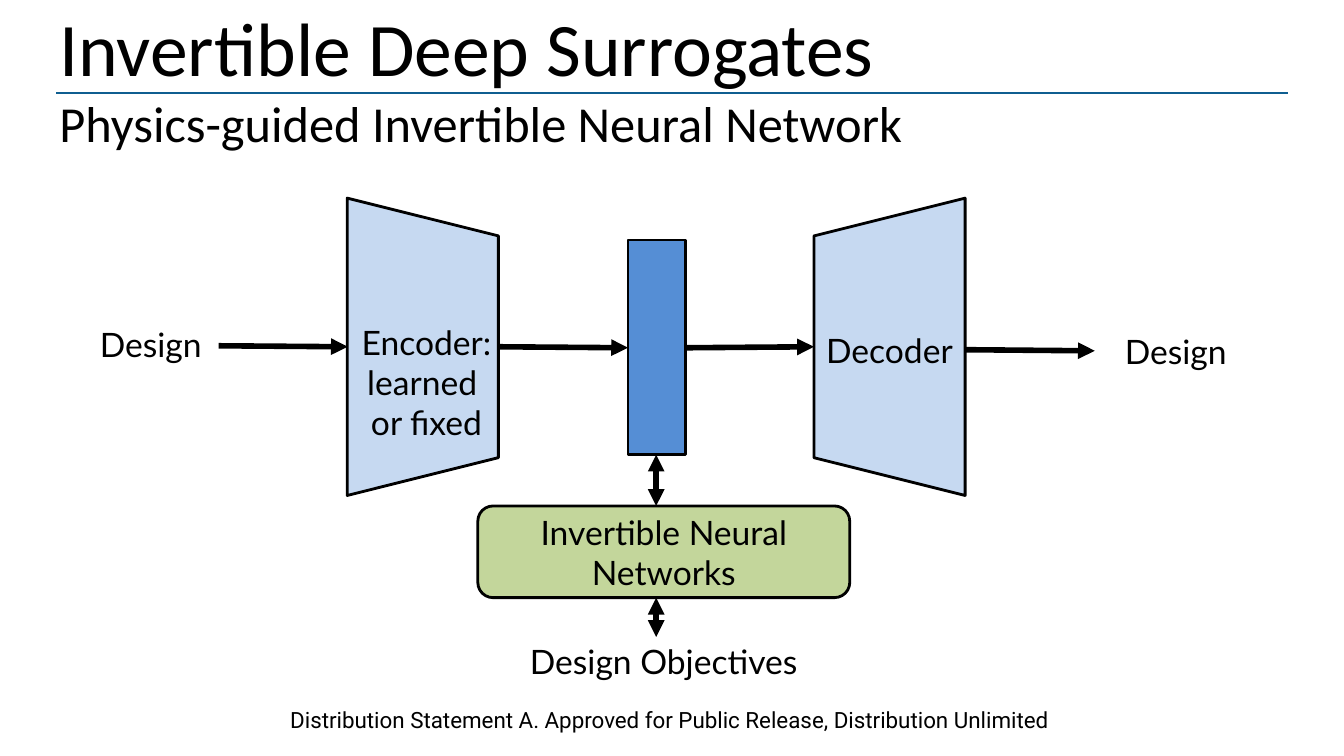
from dataclasses import dataclass, field

from lxml.etree import SubElement
from pptx import Presentation
from pptx.dml.color import RGBColor
from pptx.enum.shapes import MSO_CONNECTOR as Connector, MSO_SHAPE as Shape
from pptx.enum.text import MSO_ANCHOR as Anchor, MSO_AUTO_SIZE as AutoSize, PP_ALIGN as Align
from pptx.oxml.ns import qn
from pptx.slide import Slide
from pptx.util import Pt

COLORS = {
    "ink": "000000",
    "rule": "0F5E90",
    "coder": "C6D9F1",
    "latent": "558ED5",
    "network": "C3D69B",
}


def color(name):
    return RGBColor.from_string(COLORS[name])


def write(para, text, size=24, font="Lato", align=Align.CENTER):
    para.alignment = align
    span = para.add_run()
    span.text = text
    span.font.size = Pt(size)
    span.font.name = font
    span.font.color.rgb = color("ink")


def fill_frame(frame, lines, anchor=Anchor.TOP, **format):
    frame.word_wrap = True
    frame.auto_size = AutoSize.NONE
    frame.vertical_anchor = anchor
    for index, line in enumerate(lines):
        para = frame.paragraphs[0] if index == 0 else frame.add_paragraph()
        write(para, line, **format)


@dataclass
class Diagram:
    page: Slide
    outline: float = 2
    arrow_width: float = 4
    arrow_ends: dict = field(default_factory=lambda: {"one": ["tailEnd"], "both": ["headEnd", "tailEnd"]})

    def title(self, heading, subheading, left, top, width, height):
        box = self.page.shapes.title
        box.left, box.top, box.width, box.height = map(Pt, (left, top, width, height))
        fill_frame(box.text_frame, [heading], size=54, font="Calibri", align=Align.LEFT)
        write(box.text_frame.add_paragraph(), subheading, size=36, font="Calibri", align=Align.LEFT)

    def label(self, lines, left, top, width, height, **format):
        box = self.page.shapes.add_textbox(*map(Pt, (left, top, width, height)))
        fill_frame(box.text_frame, lines, **format)

    def block(self, kind, left, top, width, height, fill, rotation=0, lines=()):
        box = self.page.shapes.add_shape(kind, *map(Pt, (left, top, width, height)))
        box.rotation = rotation
        box.shadow.inherit = False
        box.fill.solid()
        box.fill.fore_color.rgb = color(fill)
        box.line.color.rgb = color("ink")
        box.line.width = Pt(self.outline)
        fill_frame(box.text_frame, lines, anchor=Anchor.MIDDLE)

    def line(self, start, end, stroke, width):
        line = self.page.shapes.add_connector(Connector.STRAIGHT, *map(Pt, (*start, *end)))
        line.line.color.rgb = color(stroke)
        line.line.width = Pt(width)
        SubElement(line.element.spPr, qn("a:effectLst"))
        return line

    def arrow(self, start, end, ends="one"):
        line = self.line(start, end, "ink", self.arrow_width)
        outline = line.element.spPr.find(qn("a:ln"))
        for tag in self.arrow_ends[ends]:
            SubElement(outline, qn("a:" + tag), type="triangle")


def main():
    deck = Presentation()
    deck.slide_width, deck.slide_height = Pt(960), Pt(540)
    diagram = Diagram(deck.slides.add_slide(deck.slide_layouts[5]))

    diagram.line((40.3, 66.4), (920.2, 66.4), "rule", 1.75)
    diagram.title("Invertible Deep Surrogates", "Physics-guided Invertible Neural Network",
                  35.3, -2.9, 942.5, 116.6)

    for left, rotation in ((195.8, 90), (529.2, 270)):
        diagram.block(Shape.TRAPEZOID, left, 193.7, 212.4, 108, "coder", rotation)
    diagram.block(Shape.RECTANGLE, 448.6, 171.4, 41, 153.4, "latent")

    for start, end in (
        ((356.4, 247.7), (448.6, 248.4)),
        ((489.6, 248.4), (581.4, 247.7)),
        ((156.2, 247), (248.4, 247.7)),
        ((689.8, 249.8), (782, 250.6)),
    ):
        diagram.arrow(start, end)

    diagram.label(["Encoder: learned ", "or fixed"], 236.9, 226.1, 135.4, 94.3)
    diagram.block(Shape.ROUNDED_RECTANGLE, 341.3, 361.4, 265.7, 65.5, "network",
                  lines=["Invertible Neural Networks"])
    for top, bottom in ((324.8, 361.4), (427, 455)):
        diagram.arrow((468.7, top), (468.7, bottom), "both")

    for text, left, top, width in (
        ("Decoder", 573.8, 231.8, 123.1),
        ("Design", 778.3, 232.6, 123.1),
        ("Design", 46.1, 227.5, 123.1),
        ("Design Objectives", 291.6, 454.3, 365),
    ):
        diagram.label([text], left, top, width, 36)
    diagram.label(["Distribution Statement A. Approved for Public Release, Distribution Unlimited"],
                  200.2, 501.1, 730, 26.6, size=16, font="Roboto", align=Align.LEFT)

    deck.save("out.pptx")


if __name__ == "__main__":
    main()
